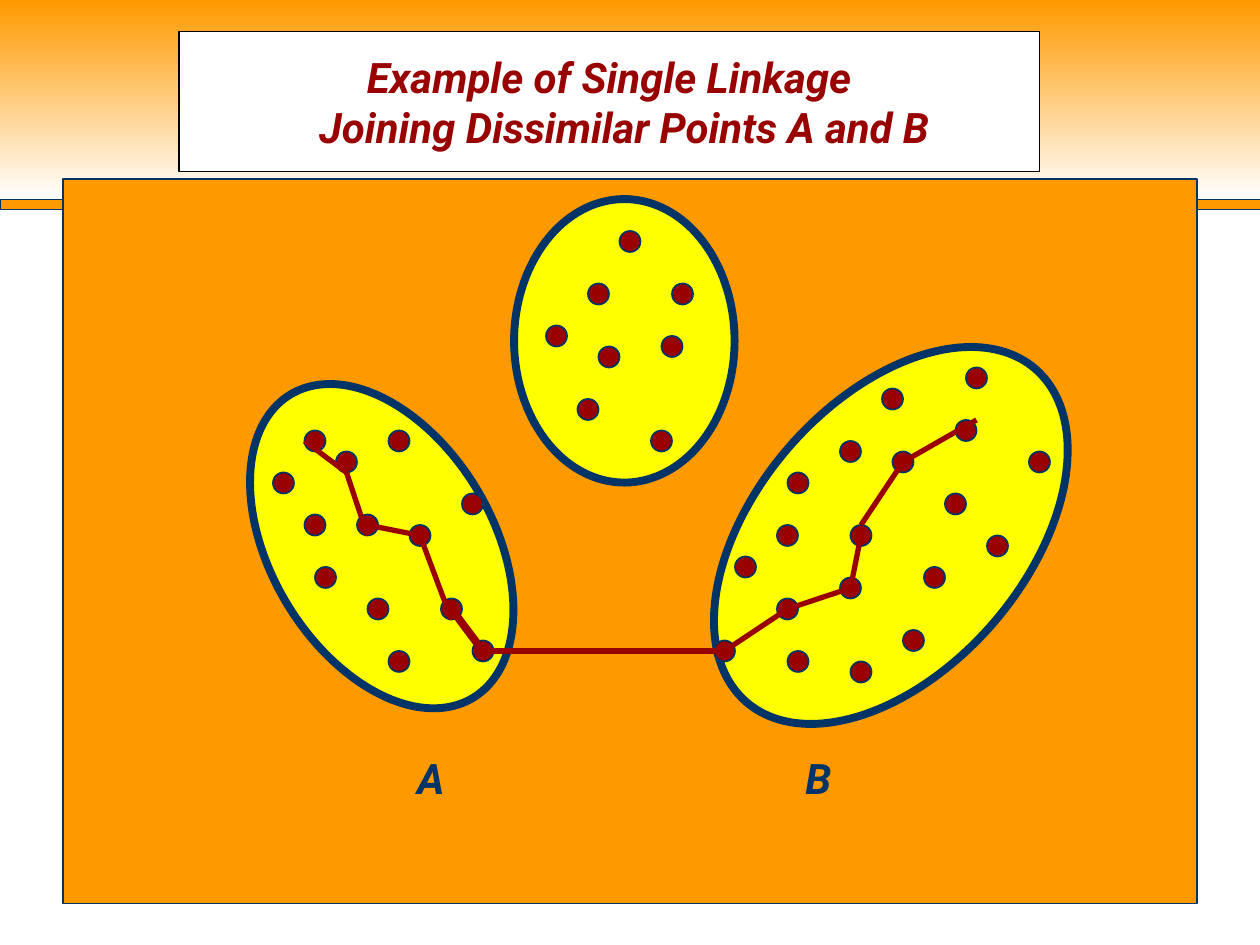
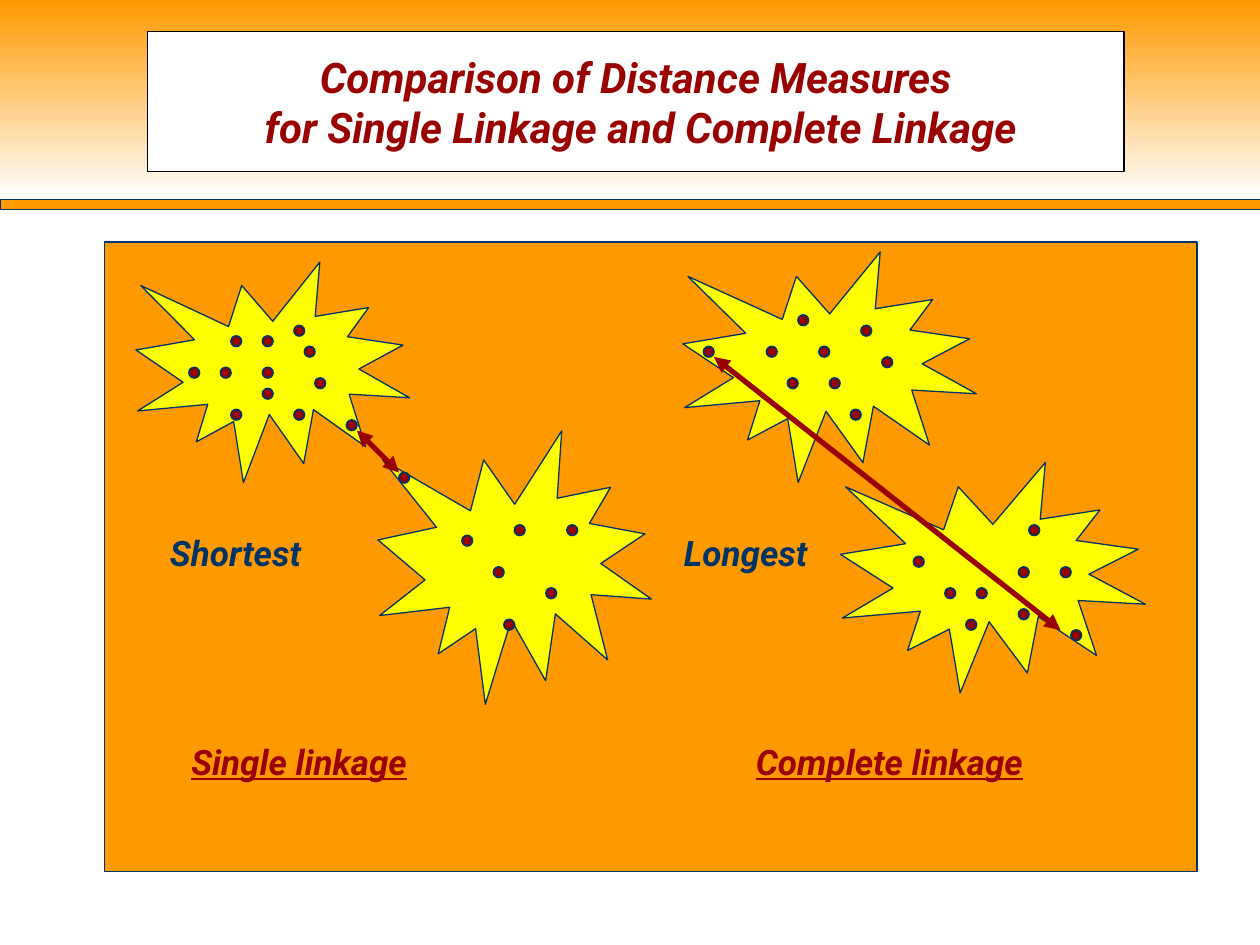
from pptx import Presentation
from pptx.dml.color import RGBColor
from pptx.enum import shapes as sh, text as tx
from pptx.oxml.ns import qn
from pptx.util import Inches, Pt
from lxml import etree

ORANGE, YELLOW, RED, NAVY = "FF9900", "FFFF00", "990000", "003366"
WHITE, BLACK = "FFFFFF", "000000"
FONT = "Roboto"
GRID = 12  # points and links sit on a grid of twelfths of an inch
PRESET = sh.MSO_SHAPE


def rgb(value):
    return RGBColor.from_string(value)


def add_text(frame, lines, size=20, color=NAVY, underline=False,
             align=tx.PP_ALIGN.LEFT, indents=()):
    """Write one paragraph per line, all in the bold italic deck font."""
    frame.word_wrap = True
    frame.auto_size = tx.MSO_AUTO_SIZE.NONE
    for number, line in enumerate(lines):
        para = frame.paragraphs[0] if number == 0 else frame.add_paragraph()
        para.alignment = align
        if number < len(indents):
            para._p.get_or_add_pPr().set("marL", str(Inches(indents[number])))
        run = para.add_run()
        run.text = line
        font = run.font
        font.name, font.size = FONT, Pt(size)
        font.bold = font.italic = True
        font.underline = underline
        font.color.rgb = rgb(color)


def add_label(slide, words, left, top, width, height=0.44, **style):
    box = slide.shapes.add_textbox(*map(Inches, (left, top, width, height)))
    add_text(box.text_frame, [words], **style)


def add_figure(slide, preset, box, fill, line=NAVY, weight=0.75, rotation=0):
    figure = slide.shapes.add_shape(preset, *map(Inches, box))
    figure.shadow.inherit = False
    figure.rotation = rotation
    figure.fill.solid()
    figure.fill.fore_color.rgb = rgb(fill)
    if line:
        figure.line.color.rgb = rgb(line)
        figure.line.width = Pt(weight)
    else:
        figure.line.fill.background()
    return figure


def add_points(slide, size, corners):
    """Draw data points from their top left corners in grid units."""
    for column, row in corners:
        box = (column / GRID, row / GRID, size / GRID, size / GRID)
        add_figure(slide, PRESET.FLOWCHART_CONNECTOR, box, RED, weight=1)


def add_link(slide, start, end, weight=3, arrows=False):
    ends = [Inches(value / GRID) for value in (*start, *end)]
    link = slide.shapes.add_connector(sh.MSO_CONNECTOR.STRAIGHT, *ends)
    link.line.color.rgb = rgb(RED)
    link.line.width = Pt(weight)
    etree.SubElement(link._element.spPr, qn("a:effectLst"))
    if arrows:
        for tag in ("a:headEnd", "a:tailEnd"):
            etree.SubElement(link.line._get_or_add_ln(), qn(tag), type="triangle")


def add_bands(prs, slide):
    """Build the header bands, then move them to the master all slides share."""
    rule = add_figure(slide, PRESET.RECTANGLE, (0, 1.58, 10, 0.08), ORANGE, weight=0.25)
    header = add_figure(slide, PRESET.RECTANGLE, (0, 0, 10, 1.58), ORANGE, line=None)
    header.fill.gradient()
    header.fill.gradient_angle = 270
    for stop, color, position in zip(header.fill.gradient_stops, (ORANGE, WHITE), (0, 1)):
        stop.color.rgb = rgb(color)
        stop.position = position
    tree = prs.slide_master.shapes.element
    for place, band in enumerate((rule, header), start=2):
        tree.insert(place, band._element)


def add_title(slide, lines, left, width, indents):
    title = slide.shapes.title
    title.left, title.top, title.width, title.height = map(
        Inches, (left, 0.25, width, 1.11))
    title.fill.solid()
    title.fill.fore_color.rgb = rgb(WHITE)
    title.line.color.rgb = rgb(BLACK)
    title.line.width = Pt(0.75)
    frame = title.text_frame
    frame.vertical_anchor = tx.MSO_ANCHOR.MIDDLE
    frame.margin_top = frame.margin_bottom = Inches(0.15)
    add_text(frame, lines, size=24, color=RED,
             align=tx.PP_ALIGN.CENTER, indents=indents)


def build_single_linkage(slide):
    add_title(slide, ["Example of Single Linkage", "Joining Dissimilar Points A and B"],
              1.42, 6.83, (0, 0.24))
    add_figure(slide, PRESET.RECTANGLE, (0.5, 1.42, 9, 5.75), ORANGE)

    # Clusters
    for box, rotation in (((2.15, 2.93, 1.76, 2.81), 329),
                          ((6, 2.5, 2.14, 3.5), 41),
                          ((4.08, 1.58, 1.75, 2.25), 0)):
        add_figure(slide, PRESET.OVAL, box, YELLOW, weight=4.5, rotation=rotation)
    for letter, left, width in (("A", 2.67, 1.5), ("B", 5.83, 1.33)):
        add_label(slide, letter, left, 5.92, width, 0.5, size=24,
                  align=tx.PP_ALIGN.CENTER)

    # Points of cluster A, cluster B and the middle cluster
    add_points(slide, 2, [
        (29, 41), (26, 45), (32, 43), (29, 49), (37, 41), (34, 49), (30, 54),
        (39, 50), (35, 57), (44, 47), (42, 57), (37, 62), (45, 61)])
    add_points(slide, 2, [
        (75, 45), (80, 42), (84, 37), (92, 35), (74, 50), (70, 53), (98, 43),
        (90, 47), (94, 51), (88, 54), (86, 60), (81, 63), (75, 62), (91, 40),
        (85, 43), (81, 50), (80, 55), (74, 57), (68, 61)])
    add_points(slide, 2, [
        (55, 38), (52, 31), (62, 41), (64, 27), (59, 22), (57, 33), (63, 32),
        (56, 27)])

    # Chain of nearest neighbours from A to B
    for start, end in (((29, 42), (33, 45)), ((33, 45), (35, 51)),
                       ((35, 50), (40, 51)), ((40, 51), (43, 59)),
                       ((46, 62), (69, 62)), ((69, 62), (75, 58)),
                       ((75, 58), (81, 56)), ((81, 56), (82, 51)),
                       ((82, 50), (86, 44)), ((86, 44), (93, 40))):
        add_link(slide, start, end)
    add_link(slide, (43, 58), (46, 62), weight=4.5)


def build_comparison(slide):
    add_title(slide, ["Comparison of Distance Measures",
                      "for Single Linkage and Complete Linkage"],
              1.17, 7.75, (0, 0.08))
    add_figure(slide, PRESET.RECTANGLE, (0.83, 1.92, 8.67, 5), ORANGE)

    # Captions
    add_label(slide, "Single linkage", 1.42, 5.83, 3, color=RED, underline=True)
    add_label(slide, "Complete linkage", 5.9, 5.83, 3.1, color=RED, underline=True)
    add_label(slide, "Shortest", 1.25, 4.17, 1.92)
    add_label(slide, "Longest", 5.33, 4.17, 1.75)

    # Clusters
    for box in ((1.08, 2.08, 2.17, 1.75), (3, 3.42, 2.17, 2.17),
                (5.42, 2, 2.33, 1.83), (6.67, 3.67, 2.42, 1.83)):
        add_figure(slide, PRESET.EXPLOSION1, box, YELLOW)

    # Single linkage: the closest pair
    add_points(slide, 1, [
        (18, 35), (22, 39), (21, 35), (28, 31), (30, 36), (25, 32), (33, 40),
        (25, 35), (29, 33), (28, 39), (22, 32), (25, 37)])
    add_points(slide, 1, [
        (38, 45), (49, 50), (54, 50), (47, 54), (52, 56), (44, 51), (48, 59)])
    add_link(slide, (34, 41), (38, 45), arrows=True)

    # Complete linkage: the farthest pair
    add_points(slide, 1, [
        (73, 33), (76, 30), (82, 31), (78, 33), (75, 36), (79, 36), (84, 34),
        (81, 39), (67, 33)])
    add_points(slide, 1, [
        (87, 53), (90, 56), (93, 56), (92, 59), (97, 54), (98, 50), (97, 58),
        (101, 54), (102, 60)])
    add_link(slide, (68, 34), (101, 60), arrows=True)


def main():
    prs = Presentation()
    prs.slide_width, prs.slide_height = Inches(10), Inches(7.5)
    title_only = prs.slide_layouts[5]
    linkage = prs.slides.add_slide(title_only)
    add_bands(prs, linkage)
    build_single_linkage(linkage)
    build_comparison(prs.slides.add_slide(title_only))
    prs.save("out.pptx")


main()
